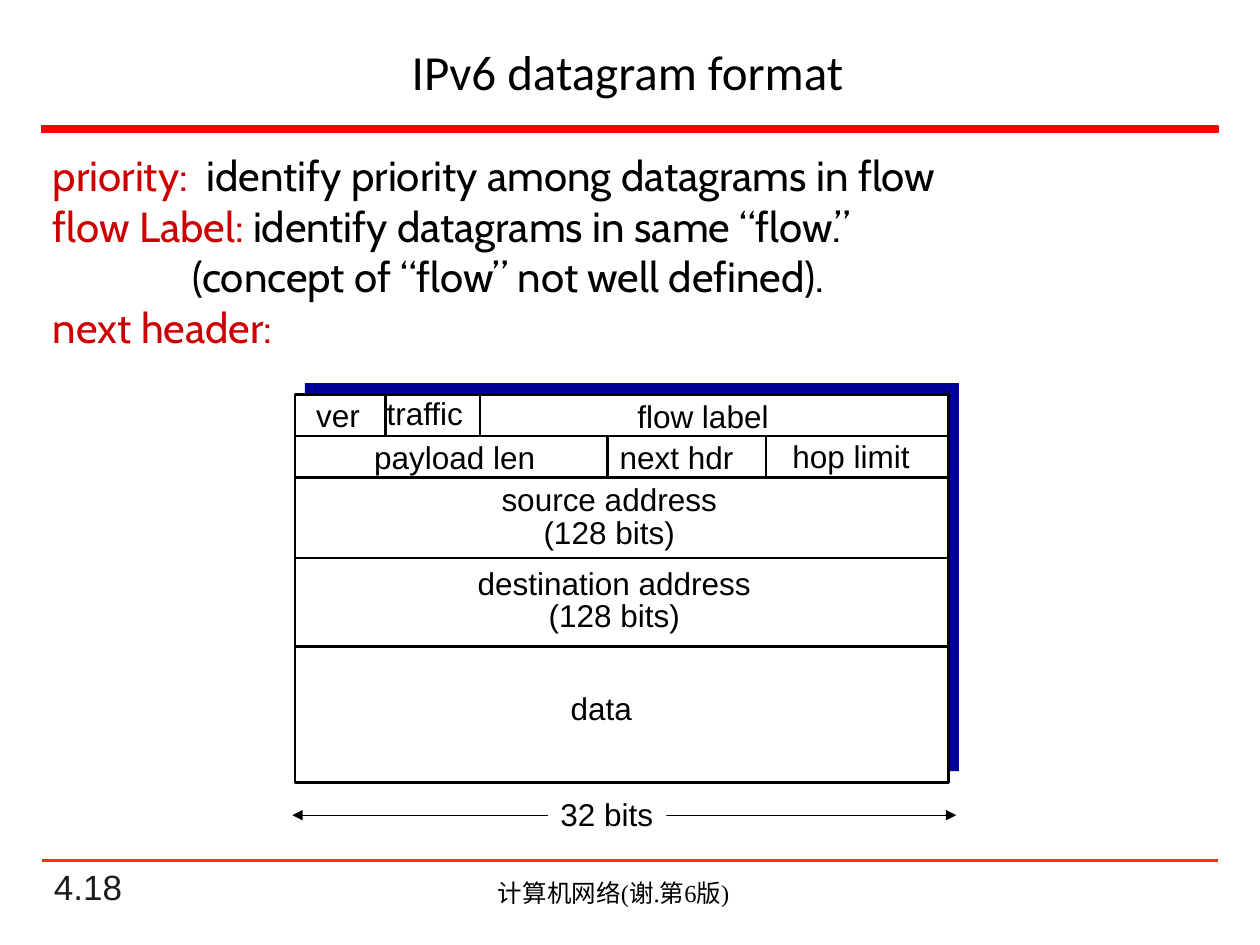
from lxml.etree import SubElement
from pptx import Presentation
from pptx.dml.color import RGBColor
from pptx.enum.shapes import MSO_CONNECTOR, MSO_SHAPE
from pptx.enum.text import MSO_ANCHOR, MSO_AUTO_SIZE, PP_ALIGN
from pptx.oxml.ns import qn
from pptx.util import Inches, Pt

COLORS = {
    "ink": "000000", "paper": "FFFFFF", "term": "CC0000", "rule": "FF0000",
    "footer_rule": "FF3300", "backdrop": "000099", "number": "1C1C1C",
}
COLUMNS, ROWS = 100, 75
SLIDE_WIDTH, SLIDE_HEIGHT = Inches(10), Inches(7.5)

LABEL = {"size": 18, "name": "Arial"}
BODY = {"size": 24, "name": "Cabin"}
TITLE = {"size": 28, "name": "Calibri"}
FOOTER = {"size": 14, "name": "Times New Roman"}
NUMBER = {"size": 20, "name": "Arial"}
FITTED = {"word_wrap": False, "auto_size": MSO_AUTO_SIZE.SHAPE_TO_FIT_TEXT}
CENTERED = {"alignment": PP_ALIGN.CENTER}
STACKED = {"alignment": PP_ALIGN.CENTER, "line_spacing": 0.85}

FRAME_LEFT, FRAME_TOP, FRAME_WIDTH, FRAME_HEIGHT = 23.4, 31.3, 51.9, 30.8
FIELD_EDGES = [FRAME_TOP, 34.6, 37.9, 44.3, 51.3]
FIELD_DIVIDERS = [[30.6, 38.1], [48.2, 60.8]]
FIELD_LABELS = [
    (["ver"], (24.1, 30.9, 5.5, 4), {}),
    (["traffic"], (29.7, 30.8, 8.1, 4), {}),
    (["flow label"], (49.6, 31, 12.4, 4), {}),
    (["payload len"], (28.7, 34.3, 14.8, 4), {}),
    (["next hdr"], (48.2, 34.3, 11, 4), {}),
    (["hop limit"], (61.9, 34.2, 11.3, 4), {}),
    (["source address", "(128 bits)"], (38.8, 38.1, 19.1, 6.1), STACKED),
    (["destination address", "(128 bits)"], (36.9, 44.7, 23.7, 6.1), STACKED),
    (["data"], (44.3, 54.2, 6.9, 4), {}),
]
DEFINITIONS = [
    [("priority:", "term"), ("  identify priority among datagrams in flow", "ink")],
    [("flow Label:", "term"), (" identify datagrams in same “flow.”", "ink")],
    [("(concept of “flow” not well defined).", "ink")],
    [("next header:", "term")],
]
CONTINUATION_ROW, CONTINUATION_INDENT = 2, 11.1


def across(columns):
    return int(SLIDE_WIDTH * columns / COLUMNS)


def down(rows):
    return int(SLIDE_HEIGHT * rows / ROWS)


def place(left, top, width, height):
    return across(left), down(top), across(width), down(height)


def color(key):
    return RGBColor.from_string(COLORS[key])


def apply(target, values):
    for attribute, value in values.items():
        setattr(target, attribute, value)


def write(frame, lines, font, paragraph_format):
    for index, pieces in enumerate(lines):
        paragraph = frame.paragraphs[0] if index == 0 else frame.add_paragraph()
        apply(paragraph, paragraph_format)
        for words, ink in pieces:
            run = paragraph.add_run()
            run.text = words
            apply(run.font, {**font, "size": Pt(font["size"])})
            run.font.color.rgb = color(ink)


def add_text(slide, area, lines, font, frame_format, paragraph_format):
    frame = slide.shapes.add_textbox(*place(*area)).text_frame
    apply(frame, {"word_wrap": True, **frame_format})
    write(frame, lines, font, paragraph_format)
    return frame


def add_block(slide, area, fill, outline=None, weight=1):
    block = slide.shapes.add_shape(MSO_SHAPE.RECTANGLE, *place(*area))
    block.shadow.inherit = False
    block.fill.solid()
    block.fill.fore_color.rgb = color(fill)
    if outline:
        block.line.color.rgb = color(outline)
        block.line.width = Pt(weight)
    else:
        block.line.fill.background()
    return block


def add_rule(slide, start, end, ink="ink", weight=1.5, arrows=False):
    rule = slide.shapes.add_connector(
        MSO_CONNECTOR.STRAIGHT, across(start[0]), down(start[1]), across(end[0]), down(end[1]))
    rule.line.color.rgb = color(ink)
    rule.line.width = Pt(weight)
    if arrows:
        for tip in ("a:headEnd", "a:tailEnd"):
            SubElement(rule.line._get_or_add_ln(), qn(tip), type="triangle")
    SubElement(rule._element.spPr, qn("a:effectLst"))


def add_page_frame(slide):
    add_text(slide, (3.6, 2.2, 92.4, 6.9), [[("IPv6 datagram format", "ink")]],
             TITLE, {"vertical_anchor": MSO_ANCHOR.MIDDLE}, CENTERED)
    add_block(slide, (3.3, 10, 93.4, 0.5), "rule", "rule")
    add_rule(slide, (3.3, 68.3), (96.7, 68.3), "footer_rule")
    add_text(slide, (3.3, 69.2, 20.8, 3.3), [[("4.18", "number")]],
             NUMBER, {"vertical_anchor": MSO_ANCHOR.BOTTOM}, {})
    add_text(slide, (28.3, 69.2, 40.8, 3.4), [[("计算机网络(谢.第6版)", "ink")]],
             FOOTER, {}, CENTERED)


def add_definitions(slide):
    frame = add_text(slide, (3.2, 11.4, 93.5, 17.2), DEFINITIONS, BODY,
                     {"auto_size": MSO_AUTO_SIZE.SHAPE_TO_FIT_TEXT}, {})
    continuation = frame.paragraphs[CONTINUATION_ROW]._p.get_or_add_pPr()
    continuation.set("marL", str(across(CONTINUATION_INDENT)))


def add_datagram(slide):
    add_block(slide, (FRAME_LEFT + 0.8, FRAME_TOP - 0.9, FRAME_WIDTH, FRAME_HEIGHT), "backdrop")
    add_block(slide, (FRAME_LEFT, FRAME_TOP, FRAME_WIDTH, FRAME_HEIGHT), "paper", "ink", 1.5)
    for edge in FIELD_EDGES[1:]:
        add_rule(slide, (FRAME_LEFT, edge), (FRAME_LEFT + FRAME_WIDTH, edge))
    for top, bottom, dividers in zip(FIELD_EDGES, FIELD_EDGES[1:], FIELD_DIVIDERS):
        for divider in dividers:
            add_rule(slide, (divider, top), (divider, bottom))
    for words, area, paragraph_format in FIELD_LABELS:
        add_text(slide, area, [[(line, "ink")] for line in words], LABEL, FITTED, paragraph_format)


def add_width_marker(slide):
    add_rule(slide, (23.2, 64.7), (75.9, 64.7), weight=0.75, arrows=True)
    width_label = add_block(slide, (43.5, 62.6, 9.4, 4), "paper")
    apply(width_label.text_frame, FITTED)
    write(width_label.text_frame, [[("32 bits", "ink")]], LABEL, {"alignment": PP_ALIGN.LEFT})


def main():
    deck = Presentation()
    apply(deck, {"slide_width": SLIDE_WIDTH, "slide_height": SLIDE_HEIGHT})
    slide = deck.slides.add_slide(deck.slide_layouts[6])
    add_page_frame(slide)
    add_definitions(slide)
    add_datagram(slide)
    add_width_marker(slide)
    deck.save("out.pptx")


if __name__ == "__main__":
    main()
